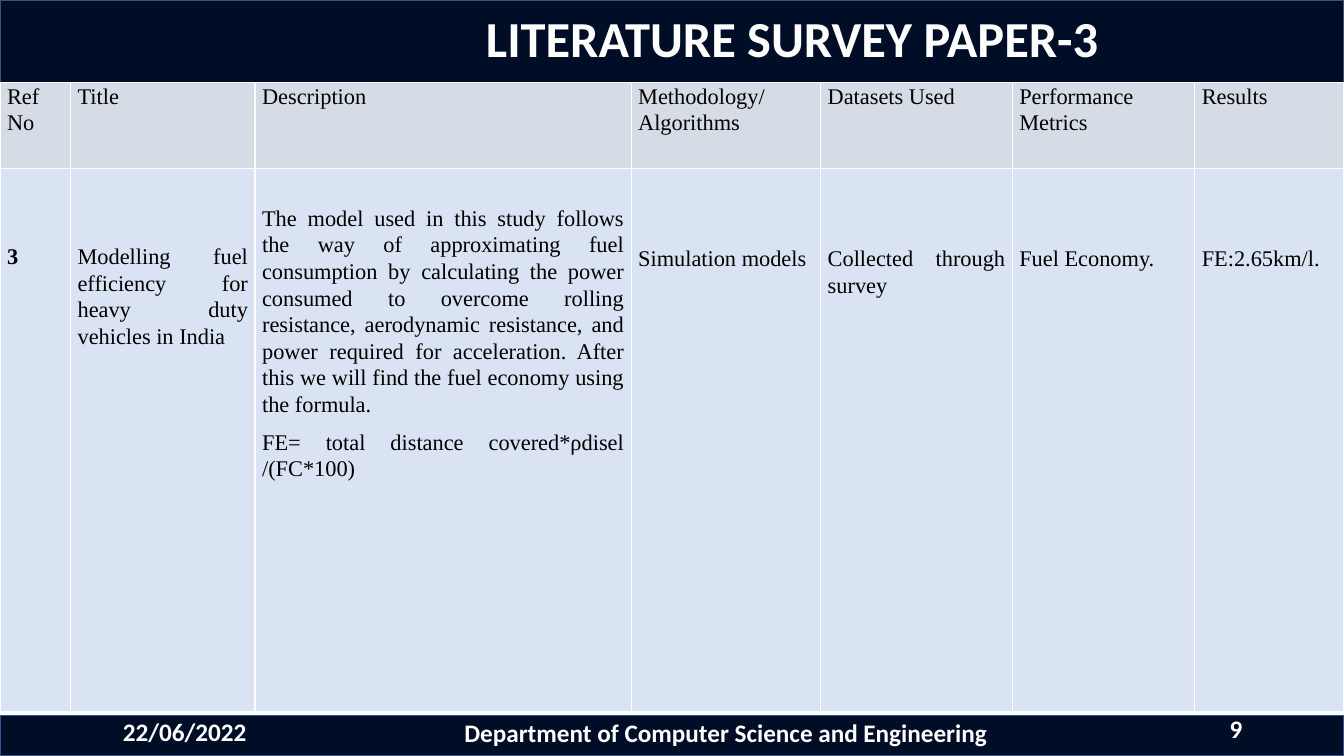
from lxml import etree
from pptx import Presentation
from pptx import util as u
from pptx.dml.color import RGBColor
from pptx.enum import shapes, text
from pptx.oxml.ns import qn

NAVY, WHITE, BLACK = "000D26", "FFFFFF", "000000"
HEADER_FILL, BODY_FILL = "D6DCE5", "DAE3F3"

COLUMNS = [
    ("Ref No", 0.7, ["3"], 0.74),
    ("Title", 1.83, ["Modelling fuel efficiency for heavy duty vehicles in India"], 0.74),
    ("Description", 3.73, [
        "The model used in this study follows the way of approximating fuel "
        "consumption by calculating the power consumed to overcome rolling "
        "resistance, aerodynamic resistance, and power required for acceleration. "
        "After this we will find the fuel economy using the formula.",
        "FE= total distance covered*ρdisel /(FC*100)",
    ], 0.36),
    ("Methodology/Algorithms", 1.88, ["Simulation models"], 0.76),
    ("Datasets Used", 1.9, ["Collected through survey"], 0.76),
    ("Performance Metrics", 1.81, ["Fuel Economy."], 0.76),
    ("Results", 1.48, ["FE:2.65km/l."], 0.76),
]


def color(value):
    return RGBColor.from_string(value)


class SurveySlide:
    """Holds the style and the slide, and adds each kind of element."""

    heading_font = "Calibri"
    table_font = "Times New Roman"

    def __init__(self, deck):
        self.slide = deck.slides.add_slide(deck.slide_layouts[5])

    def place(self, item, left, top, width, height):
        item.left, item.top = u.Inches(left), u.Inches(top)
        item.width, item.height = u.Inches(width), u.Inches(height)

    def paint(self, item, fill, line, weight):
        item.fill.solid()
        item.fill.fore_color.rgb = color(fill)
        item.line.color.rgb = color(line)
        item.line.width = u.Pt(weight)

    def add_words(self, paragraph, words, font, size, ink, bold, align):
        paragraph.alignment = align
        run = paragraph.add_run()
        run.text = words
        run.font.name = font
        run.font.size = u.Pt(size)
        run.font.bold = bold
        run.font.color.rgb = color(ink)

    def title(self, words, box, indent):
        heading = self.slide.shapes.title
        self.place(heading, *box)
        self.paint(heading, NAVY, "44546A", 0.75)
        frame = heading.text_frame
        frame.auto_size = text.MSO_AUTO_SIZE.NONE
        frame.vertical_anchor = text.MSO_ANCHOR.MIDDLE
        frame.margin_left = u.Inches(indent)
        frame.paragraphs[0].line_spacing = 0.9
        self.add_words(frame.paragraphs[0], words, self.heading_font, 36, WHITE,
                       True, text.PP_ALIGN.LEFT)

    def bar(self, box):
        band = self.slide.shapes.add_shape(
            shapes.MSO_SHAPE.RECTANGLE, *map(u.Inches, box))
        band.shadow.inherit = False
        self.paint(band, NAVY, "325491", 1)

    def label(self, words, box, align):
        frame = self.slide.shapes.add_textbox(*map(u.Inches, box)).text_frame
        frame.word_wrap = True
        frame.vertical_anchor = text.MSO_ANCHOR.MIDDLE
        self.add_words(frame.paragraphs[0], words, self.heading_font, 18, WHITE,
                       True, align)

    def borders(self, cell):
        properties = cell._tc.get_or_add_tcPr()
        for side in ("a:lnL", "a:lnR", "a:lnT", "a:lnB"):
            edge = etree.SubElement(properties, qn(side), w=str(u.Pt(1)))
            fill = etree.SubElement(edge, qn("a:solidFill"))
            etree.SubElement(fill, qn("a:srgbClr"), val=WHITE)

    def cell(self, cell, paragraphs, fill, top=0, bold=False):
        self.borders(cell)
        cell.fill.solid()
        cell.fill.fore_color.rgb = color(fill)
        cell.margin_left = cell.margin_right = u.Inches(0.07)
        cell.margin_top, cell.margin_bottom = u.Inches(top), 0
        frame = cell.text_frame
        for index, words in enumerate(paragraphs):
            paragraph = frame.add_paragraph() if index else frame.paragraphs[0]
            paragraph.line_spacing = 1.07
            paragraph.space_after = u.Pt(8)
            self.add_words(paragraph, words, self.table_font, 16, BLACK, bold,
                           text.PP_ALIGN.JUSTIFY)

    def table(self, columns, box, row_heights):
        grid = self.slide.shapes.add_table(
            len(row_heights), len(columns), *map(u.Inches, box)).table
        grid.first_row = grid.horz_banding = False
        for row, height in zip(grid.rows, row_heights):
            row.height = u.Inches(height)
        for index, (header, width, body, top) in enumerate(columns):
            grid.columns[index].width = u.Inches(width)
            self.cell(grid.cell(0, index), [header], HEADER_FILL)
            self.cell(grid.cell(1, index), body, BODY_FILL, top, bold=index == 0)


def main():
    deck = Presentation()
    deck.slide_width, deck.slide_height = u.Inches(13.33), u.Inches(7.5)
    survey = SurveySlide(deck)
    survey.bar((0, 7.1, 13.33, 0.4))
    survey.title("LITERATURE SURVEY PAPER-3", (0, 0, 13.33, 0.82), 4.82)
    survey.label("22/06/2022", (1.12, 7.17, 2.8, 0.18), text.PP_ALIGN.LEFT)
    survey.label("Department of Computer Science and Engineering",
                 (4.42, 6.95, 5.56, 0.63), text.PP_ALIGN.CENTER)
    survey.label("9", (9.66, 7.1, 2.76, 0.25), text.PP_ALIGN.RIGHT)
    survey.table(COLUMNS, (0, 0.82, 13.33, 6.24), (0.85, 5.39))
    deck.save("out.pptx")


if __name__ == "__main__":
    main()
